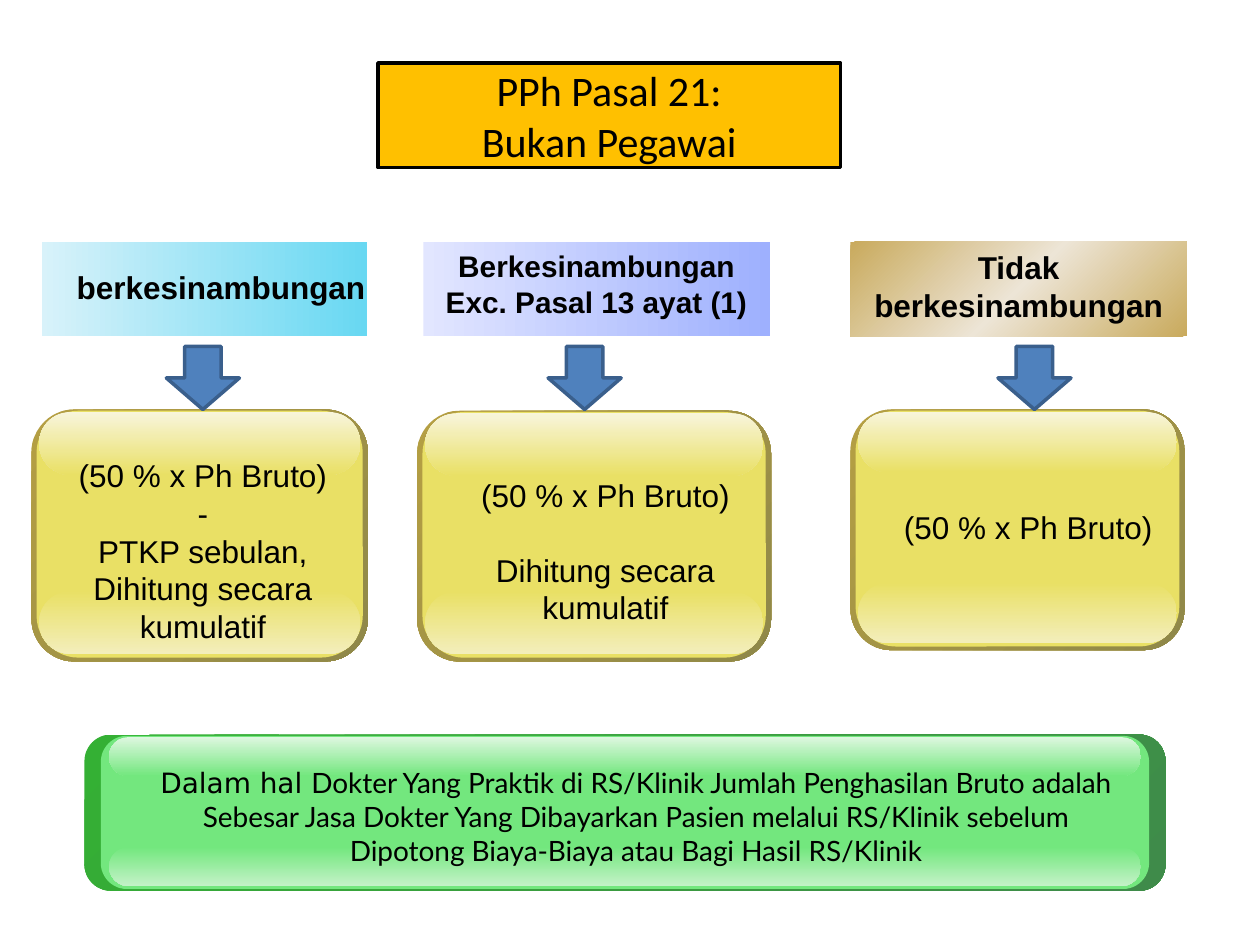
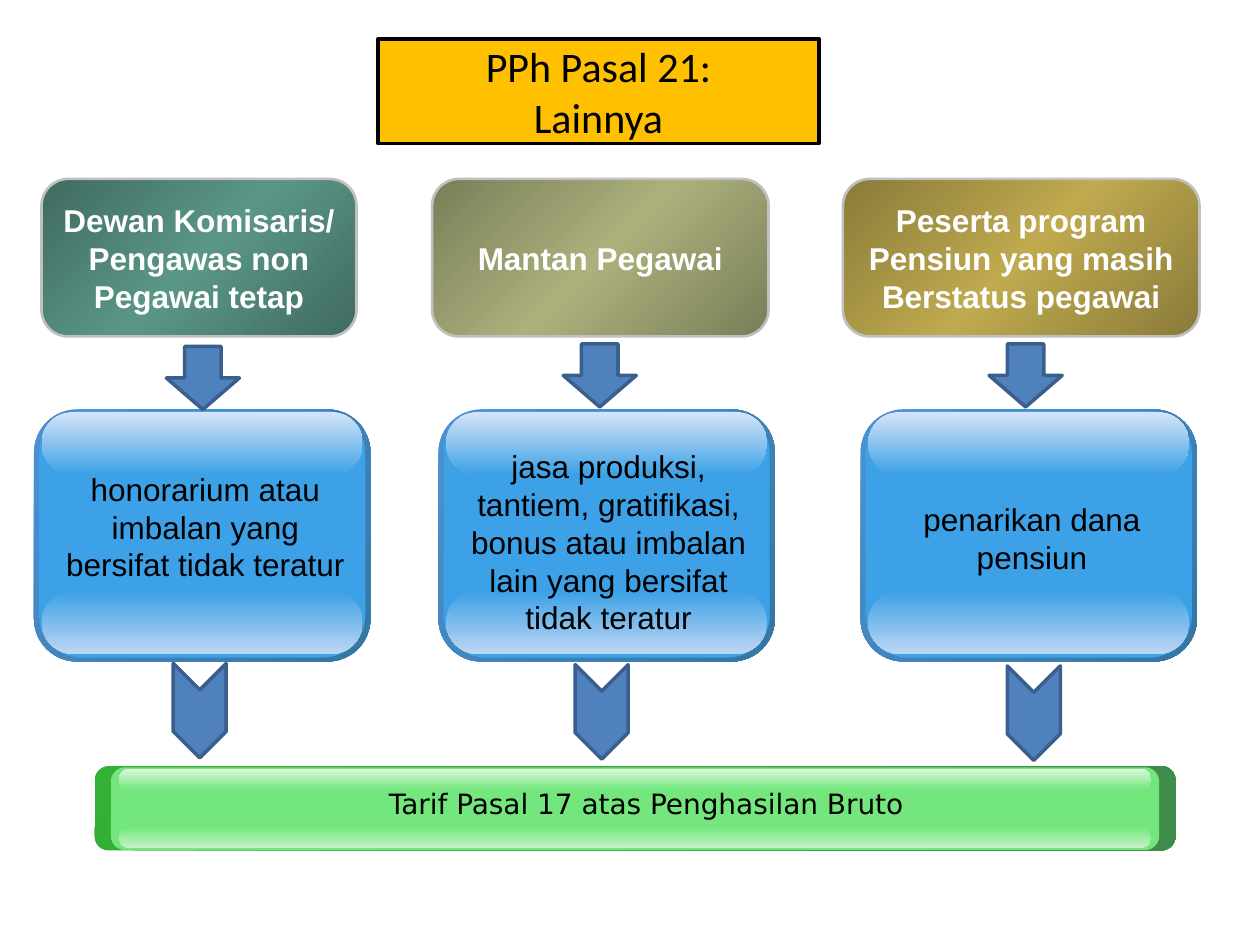
"""Build two slides on income tax article 21: non-employees and other recipients."""
from copy import deepcopy

from lxml.etree import SubElement
from pptx import Presentation
from pptx.dml.color import RGBColor
from pptx.enum.shapes import MSO_SHAPE
from pptx.enum.text import MSO_ANCHOR, MSO_AUTO_SIZE, PP_ALIGN
from pptx.oxml.ns import qn
from pptx.util import Inches, Pt

BLACK, WHITE, SILVER = "000000", "FFFFFF", "C0C0C0"
AMBER, STEEL, STEEL_EDGE = "FFC000", "4F81BD", "3A5F8C"
YELLOW = (("B59F43", "8F8849"), "E9E065", "F8F5DB", "F3EEBB")
GREEN = (("34B034", "3F8B4A"), "73E77E", "DDF7DF", "C3F2C7")
BLUE = (("4E91D4", "3477A4"), "3CA1E6", "D7E5F7", "BDD6F3")


def paint(fill, *colours, angle=0):
    """Fill with one colour, or with an even gradient of several."""
    if len(colours) == 1:
        fill.solid()
        fill.fore_color.rgb = RGBColor.from_string(colours[0])
        return
    fill.gradient()
    fill.gradient_angle = 360 - angle
    first_stop = fill.gradient_stops[0]._gs
    for _ in colours[2:]:
        first_stop.addnext(deepcopy(first_stop))
    for i, (stop, colour) in enumerate(zip(fill.gradient_stops, colours)):
        stop.color.rgb = RGBColor.from_string(colour)
        stop.position = i / (len(colours) - 1)


def write(frame, lines, size, font="Arial", bold=False, colour=BLACK):
    """Put centred lines into a text frame, one paragraph each."""
    for i, line in enumerate(lines):
        paragraph = frame.add_paragraph() if i else frame.paragraphs[0]
        paragraph.text = line
        paragraph.alignment = PP_ALIGN.CENTER
        paragraph.font.size = Pt(size)
        paragraph.font.name = font
        paragraph.font.bold = bold
        paint(paragraph.font.fill, colour)


pages = [
    {
        "title": ["PPh Pasal 21:", "Bukan Pegawai"],
        "title_box": (3, 0.5, 3.67, 0.83),
        "headers": [
            (MSO_SHAPE.RECTANGLE, (0.33, 1.92, 2.58, 0.75), ("D8F2FA", "68D8F2"), 0, None, []),
            (MSO_SHAPE.RECTANGLE, (3.36, 1.92, 2.75, 0.75), ("E2E6FF", "9EB0FE"), 0, None, []),
            (MSO_SHAPE.RECTANGLE, (6.75, 1.92, 2.67, 0.75),
             ("C9AA5D", "EDE5D6", "C9AA5D"), 45, None, []),
        ],
        "panels": [
            ((0.25, 3.25, 2.67, 2), YELLOW),
            ((3.31, 3.26, 2.81, 1.99), YELLOW),
            ((6.75, 3.25, 2.65, 1.91), YELLOW),
            ((0.67, 5.83, 8.58, 1.24), GREEN),
        ],
        "arrows": [(1.32, 2.75), (4.35, 2.75), (7.92, 2.75)],
        "chevrons": [],
        "labels": [
            ((0.42, 2.08, 2.67, 0.4), ["berkesinambungan"], 18, "Arial", True),
            ((3.4, 1.92, 2.67, 0.67), ["Berkesinambungan", "Exc. Pasal 13 ayat (1)"],
             17, "Arial", True),
            ((6.75, 1.92, 2.67, 0.71), ["Tidak berkesinambungan"], 18, "Arial", True),
            ((0.34, 3.57, 2.54, 1.6), ["(50 % x Ph Bruto)", "-", "PTKP sebulan,",
                                       "Dihitung secara kumulatif"], 18, "Arial", False),
            ((3.47, 3.73, 2.67, 1.3), ["(50 % x Ph Bruto)", "Dihitung secara kumulatif"],
             18, "Arial", False),
            ((6.9, 3.98, 2.52, 0.4), ["(50 % x Ph Bruto)"], 18, "Arial", False),
            ((0.97, 6.03, 8.16, 0.95),
             ["Dalam hal ",
              "Sebesar Jasa Dokter Yang Dibayarkan Pasien melalui RS/Klinik sebelum",
              "Dipotong Biaya-Biaya atau Bagi Hasil RS/Klinik"], 16, "Lato", False),
        ],
    },
    {
        "title": ["PPh Pasal 21:", "Lainnya"],
        "title_box": (3, 0.31, 3.5, 0.83),
        "headers": [
            (MSO_SHAPE.ROUNDED_RECTANGLE, (0.33, 1.42, 2.5, 1.25),
             ("406B60", "5A9686", "406B60"), 45, SILVER,
             ["Dewan Komisaris/", "Pengawas non", "Pegawai tetap"]),
            (MSO_SHAPE.ROUNDED_RECTANGLE, (3.43, 1.42, 2.67, 1.25),
             ("7A7E59", "ABB07C", "7A7E59"), 45, SILVER, ["Mantan Pegawai"]),
            (MSO_SHAPE.ROUNDED_RECTANGLE, (6.69, 1.42, 2.83, 1.25),
             ("897A39", "BFAA4F", "897A39"), 45, SILVER,
             ["Peserta program", "Pensiun yang masih", "Berstatus pegawai"]),
        ],
        "panels": [
            ((0.27, 3.25, 2.67, 2), BLUE),
            ((3.48, 3.25, 2.67, 2), BLUE),
            ((6.83, 3.25, 2.67, 2), BLUE),
            ((0.75, 6.08, 8.58, 0.67), GREEN),
        ],
        "arrows": [(1.32, 2.75), (4.47, 2.73), (7.85, 2.73)],
        "chevrons": [(1.21, 5.43), (4.4, 5.44), (7.83, 5.45)],
        "labels": [
            ((0.36, 3.68, 2.54, 1.13), ["honorarium atau imbalan yang bersifat tidak teratur"],
             18, "Arial", False),
            ((3.56, 3.5, 2.54, 1.62), ["jasa produksi, tantiem, gratifikasi, bonus atau "
                                       "imbalan lain yang bersifat tidak teratur"],
             18, "Arial", False),
            ((6.92, 3.92, 2.54, 0.71), ["penarikan dana pensiun"], 18, "Arial", False),
            ((1.05, 6.19, 8.16, 0.49), ["Tarif Pasal 17 atas Penghasilan Bruto"],
             16, "DejaVu Sans", False),
        ],
    },
]

prs = Presentation()
prs.slide_width, prs.slide_height = Inches(10), Inches(7.5)
label_frames = {}

for page in pages:
    slide = prs.slides.add_slide(prs.slide_layouts[5])
    title = slide.shapes.title
    title.left, title.top, title.width, title.height = map(Inches, page["title_box"])
    outline = SubElement(title._element.spPr, qn("a:prstGeom"), prst="roundRect")
    SubElement(outline, qn("a:avLst"))
    paint(title.fill, AMBER)
    paint(title.line.fill, BLACK)
    title.line.width = Pt(2)
    title.text_frame.auto_size = MSO_AUTO_SIZE.NONE
    title.text_frame.vertical_anchor = MSO_ANCHOR.MIDDLE
    write(title.text_frame, page["title"], 24, "Calibri")

    pieces = [(*header, 0.17, 0) for header in page["headers"]]
    for (left, top, width, height), (rim, face, shine, glow) in page["panels"]:
        rim_gap, gloss_gap = width / 66, width / 44
        gloss_left, gloss_width, gloss_height = left + gloss_gap, width - 2 * gloss_gap, height / 4
        layers = [
            ((left, top, width, height), rim, 45, 0.17),
            ((left + rim_gap, top + 0.01, width - 2 * rim_gap, height * 0.98), (face,), 0, 0.17),
            ((gloss_left, top + height * 0.72, gloss_width, gloss_height), (face, glow), 90, 0.5),
            ((gloss_left, top + 0.02, gloss_width, gloss_height), (shine, face), 90, 0.5),
        ]
        pieces += [(MSO_SHAPE.ROUNDED_RECTANGLE, box, colours, angle, None, [], corner, 0)
                   for box, colours, angle, corner in layers]
    pieces += [(MSO_SHAPE.DOWN_ARROW, (*corner, 0.58, 0.5), (STEEL,), 0, STEEL_EDGE, [], 0.5, 0)
               for corner in page["arrows"]]
    pieces += [(MSO_SHAPE.CHEVRON, (*corner, 0.75, 0.42), (STEEL,), 0, STEEL_EDGE, [], 0.5, 90)
               for corner in page["chevrons"]]

    for kind, box, colours, angle, edge, lines, corner, rotation in pieces:
        piece = slide.shapes.add_shape(kind, *map(Inches, box))
        piece.shadow.inherit = False
        piece.rotation = rotation
        if kind == MSO_SHAPE.ROUNDED_RECTANGLE:
            piece.adjustments[0] = corner
        paint(piece.fill, *colours, angle=angle)
        if edge:
            paint(piece.line.fill, edge)
            piece.line.width = Pt(1.5 if edge == SILVER else 2)
        else:
            piece.line.fill.background()
        if lines:
            piece.text_frame.word_wrap = False
            write(piece.text_frame, lines, 18, bold=True, colour=WHITE)

    for box, lines, size, font, bold in page["labels"]:
        frame = slide.shapes.add_textbox(*map(Inches, box)).text_frame
        frame.word_wrap = True
        write(frame, lines, size, font, bold)
        label_frames[lines[0], len(lines)] = frame

label_frames["(50 % x Ph Bruto)", 2].paragraphs[1].space_before = Pt(21)
doctor_line = label_frames["Dalam hal ", 3].paragraphs[0]
doctor_line.runs[0].font.name = "DejaVu Sans"
doctor_line.add_run().text = "Dokter Yang Praktik di RS/Klinik Jumlah Penghasilan Bruto adalah"

prs.save("out.pptx")
